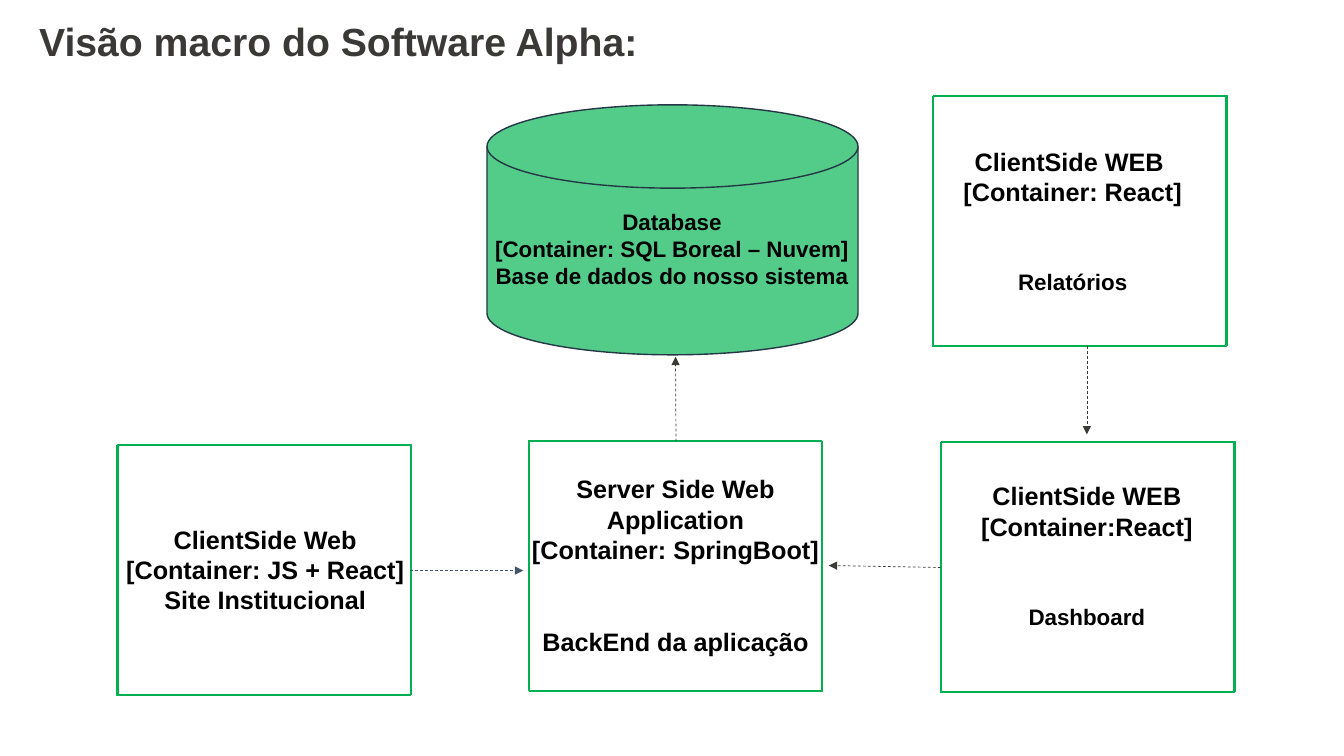
"""Build a slide with the container overview of a software system."""
from lxml import etree
from pptx import Presentation
from pptx import util as u
from pptx.dml.color import RGBColor
from pptx.enum import dml, shapes, text
from pptx.oxml import ns

EMU_PER_PX = 9144
BOX_WIDTH, BOX_HEIGHT = 291, 248
GREEN, DARK, BLACK = "00B050", "3B3838", "000000"
SECTION_GAP = 44


def px(*lengths):
    return [u.Emu(length * EMU_PER_PX) for length in lengths]


def color(value):
    return RGBColor.from_string(value)


def write(para, words, size, ink):
    para.alignment = text.PP_ALIGN.CENTER
    span = para.add_run()
    span.text = words
    span.font.name = "Arial"
    span.font.size = u.Pt(size)
    span.font.bold = True
    span.font.color.rgb = color(ink)


def add_title(page, words):
    title = page.shapes.title
    title.left, title.top, title.width, title.height = px(18, 12, 635, 57)
    frame = title.text_frame
    frame.word_wrap = True
    frame.auto_size = text.MSO_AUTO_SIZE.NONE
    frame.vertical_anchor = text.MSO_ANCHOR.TOP
    write(frame.paragraphs[0], words, 28, DARK)


def add_label(page, place, heading, size, footer=None, footer_size=16):
    frame = page.shapes.add_textbox(*px(*place)).text_frame
    frame.word_wrap = True
    para = frame.paragraphs[0]
    for number, words in enumerate(heading):
        if number:
            para = frame.add_paragraph()
        write(para, words, size, BLACK)
    if footer:
        para = frame.add_paragraph()
        para.space_before = u.Pt(SECTION_GAP)
        write(para, footer, footer_size, BLACK)


def add_figure(page, kind, place, line, fill=None):
    figure = page.shapes.add_shape(kind, *px(*place))
    figure.shadow.inherit = False
    figure.line.color.rgb = color(line)
    figure.line.width = u.Pt(1)
    if fill:
        figure.fill.solid()
        figure.fill.fore_color.rgb = color(fill)
    else:
        figure.fill.background()
    return figure


def add_double_box(page, *corners):
    return [add_figure(page, shapes.MSO_SHAPE.RECTANGLE,
                       (left, top, BOX_WIDTH, BOX_HEIGHT), GREEN)
            for left, top in corners]


def add_arrow(page, start, end, ink=DARK, source=None, side=0):
    arrow = page.shapes.add_connector(
        shapes.MSO_CONNECTOR.STRAIGHT, *px(*start, *end))
    if source:
        arrow.begin_connect(source, side)
    arrow.line.color.rgb = color(ink)
    arrow.line.width = u.Pt(0.5)
    arrow.line.dash_style = dml.MSO_LINE.DASH
    outline = arrow.line._get_or_add_ln()
    etree.SubElement(outline, ns.qn("a:tailEnd"), type="triangle")
    etree.SubElement(arrow._element.spPr, ns.qn("a:effectLst"))


def main():
    deck = Presentation()
    deck.slide_width, deck.slide_height = px(1333, 750)
    page = deck.slides.add_slide(deck.slide_layouts[5])
    add_title(page, "Visão macro do Software Alpha:")

    add_double_box(page, (926, 95), (925, 96))
    add_label(page, (941, 140, 246, 158),
              ["ClientSide WEB ", "[Container: React]"], 18, "Relatórios")

    add_figure(page, shapes.MSO_SHAPE.FLOWCHART_MAGNETIC_DISK,
               (483, 104, 368, 248), "253746", "53CC89")
    add_label(page, (475, 202, 383, 94),
              ["Database", "[Container: SQL Boreal – Nuvem]",
               "Base de dados do nosso sistema"], 16)

    server, _ = add_double_box(page, (525, 438), (524, 437))
    add_label(page, (516, 465, 308, 192),
              ["Server Side Web Application", "[Container: SpringBoot]"], 18,
              "BackEnd da aplicação", 18)

    _, site = add_double_box(page, (117, 441), (116, 442))
    add_label(page, (109, 515, 308, 101),
              ["ClientSide Web", "[Container: JS + React]",
               "Site Institucional"], 18)

    dashboard, _ = add_double_box(page, (933, 439), (934, 438))
    add_label(page, (948, 472, 260, 158),
              ["ClientSide WEB", "[Container:React]"], 18, "Dashboard")

    add_arrow(page, (670, 438), (670, 354), source=server, side=0)
    add_arrow(page, (407, 566), (519, 566), "44546A", site, 3)
    add_arrow(page, (933, 563), (822, 561), source=dashboard, side=1)
    add_arrow(page, (1078, 343), (1078, 431))
    deck.save("out.pptx")


if __name__ == "__main__":
    main()
